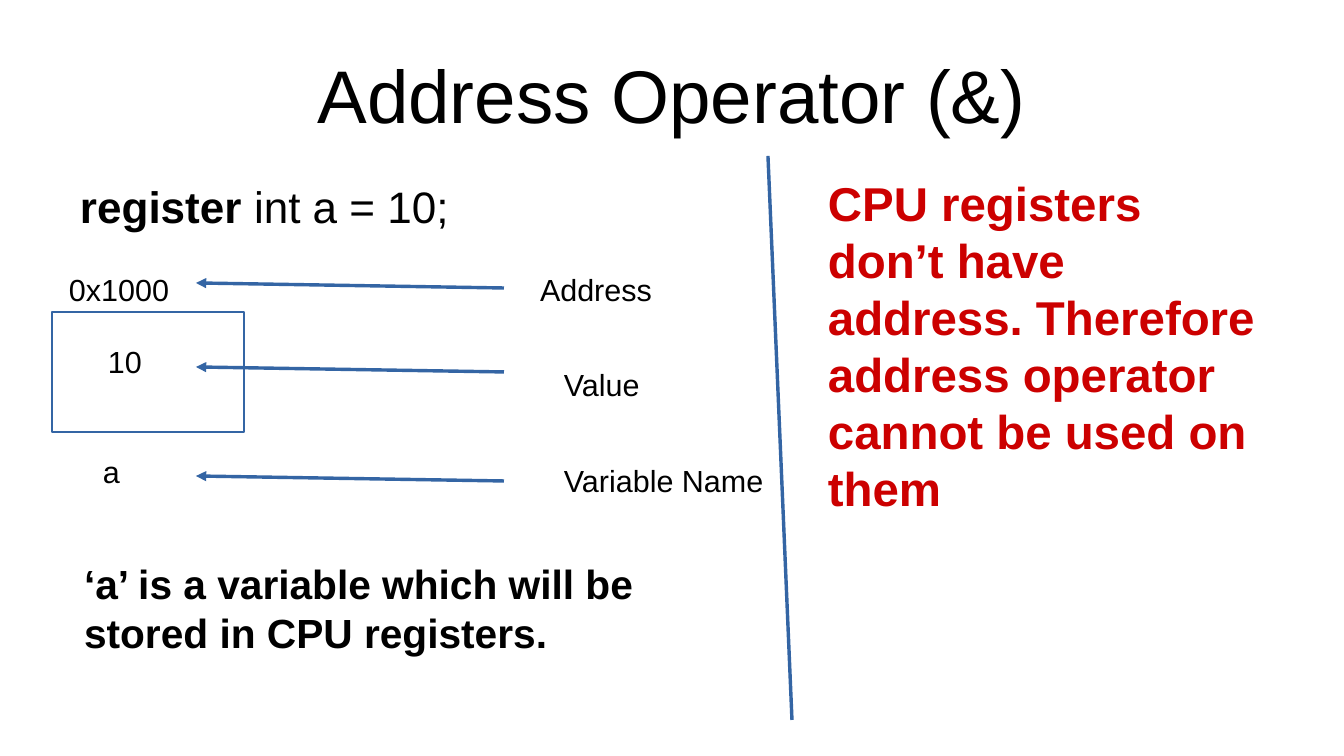
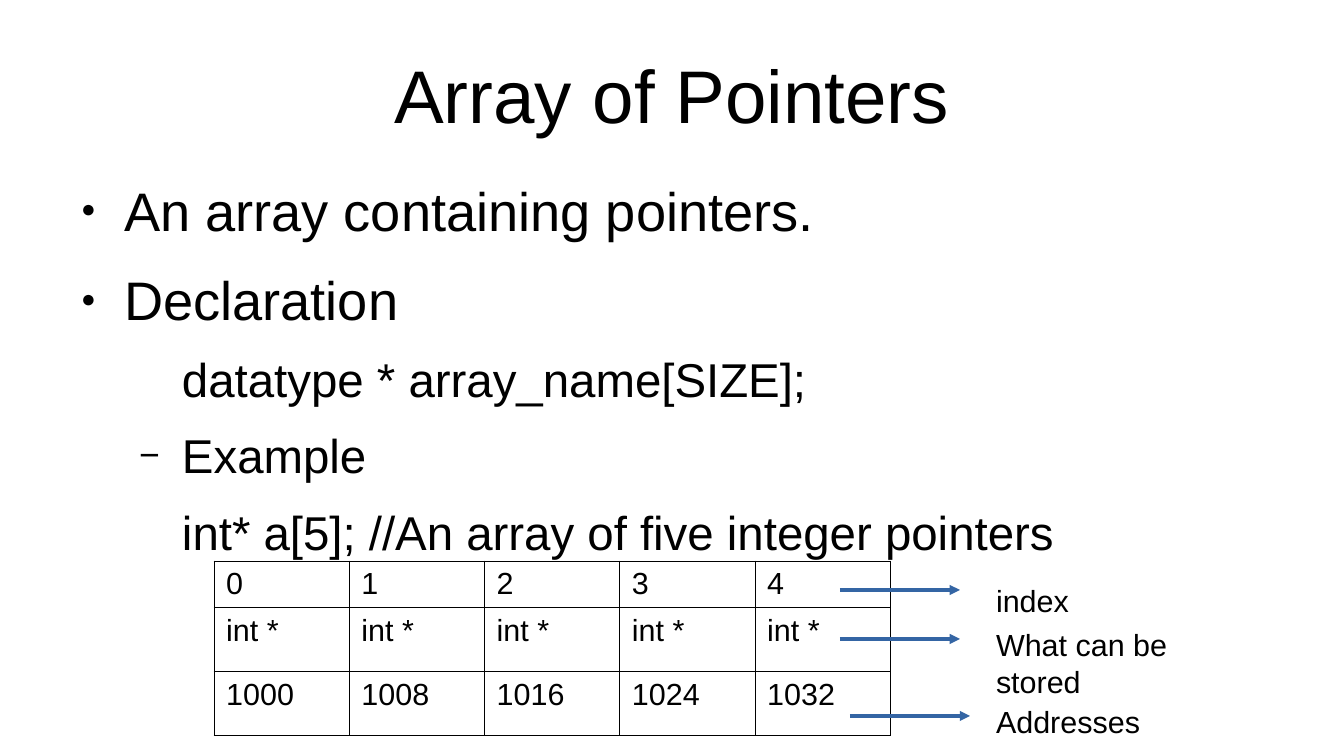
"""Build two lecture slides on the address operator and arrays of pointers."""
from lxml.etree import SubElement
from pptx import Presentation
from pptx.dml.color import RGBColor
from pptx.enum.shapes import MSO_CONNECTOR, MSO_SHAPE
from pptx.enum.text import MSO_ANCHOR, MSO_AUTO_SIZE, PP_ALIGN
from pptx.oxml import parse_xml
from pptx.oxml.ns import nsdecls, qn
from pptx.util import Pt

SCALE = 914400 / 122
COLORS = {"text": "000000", "line": "3465A4", "alert": "CC0000", "border": "000000"}
FONT = "Arial"
TITLE_ONLY, TITLE_AND_BODY = 5, 1


def px(length):
    return round(length * SCALE)


def rgb(name):
    return RGBColor.from_string(COLORS[name])


def write(para, text, size=18, bold=False, color="text"):
    span = para.add_run()
    span.text = text
    span.font.name = FONT
    span.font.size = Pt(size)
    span.font.bold = bold
    span.font.color.rgb = rgb(color)


class SlideBuilder:
    def __init__(self, deck):
        self.deck = deck
        self.page = None

    def start(self, title, layout):
        self.page = self.deck.slides.add_slide(self.deck.slide_layouts[layout])
        frame = self.place(self.page.shapes.title, 67, 30, 1210, 127)
        frame.vertical_anchor = MSO_ANCHOR.MIDDLE
        para = frame.paragraphs[0]
        para.alignment = PP_ALIGN.CENTER
        write(para, title, size=44)

    def place(self, holder, left, top, width, height):
        holder.left, holder.top = px(left), px(top)
        holder.width, holder.height = px(width), px(height)
        frame = holder.text_frame
        frame.margin_left = frame.margin_right = 0
        frame.margin_top = frame.margin_bottom = 0
        frame.auto_size = MSO_AUTO_SIZE.NONE
        frame.word_wrap = True
        return frame

    def body(self, items, left, top, width, height):
        frame = self.place(self.page.placeholders[1], left, top, width, height)
        frame.vertical_anchor = MSO_ANCHOR.TOP
        for number, (text, level, bullet) in enumerate(items):
            para = frame.add_paragraph() if number else frame.paragraphs[0]
            para.level = level
            para.space_before = Pt((14.2, 11.3)[level])
            write(para, text, size=(32, 28)[level])
            self.bullet(para, level, bullet)

    def bullet(self, para, level, character):
        settings = para._p.get_or_add_pPr()
        settings.set("marL", str(px((57, 115)[level])))
        settings.set("indent", str(px(-43) if character else 0))
        if not character:
            SubElement(settings, qn("a:buNone"))
            return
        color = SubElement(settings, qn("a:buClr"))
        SubElement(color, qn("a:srgbClr"), val=COLORS["text"])
        SubElement(settings, qn("a:buSzPct"), val=("45000", "75000")[level])
        SubElement(settings, qn("a:buFont"), typeface=FONT)
        SubElement(settings, qn("a:buChar"), char=character)

    def text(self, left, top, width, height, *spans, **style):
        box = self.page.shapes.add_textbox(px(left), px(top), px(width), px(height))
        box.text_frame.word_wrap = True
        for text, bold in spans:
            write(box.text_frame.paragraphs[0], text, bold=bold, **style)

    def label(self, text, left, top, width, height=46):
        self.text(left, top, width, height, (text, False))

    def frame(self, left, top, width, height):
        box = self.page.shapes.add_shape(
            MSO_SHAPE.RECTANGLE, px(left), px(top), px(width), px(height))
        box.shadow.inherit = False
        box.fill.background()
        box.line.color.rgb = rgb("line")
        box.line.width = Pt(0)

    def line(self, start, end, arrow=False):
        line = self.page.shapes.add_connector(
            MSO_CONNECTOR.STRAIGHT, *map(px, start), *map(px, end))
        line.line.color.rgb = rgb("line")
        line.line.width = Pt(0)
        if arrow:
            SubElement(line.line._get_or_add_ln(), qn("a:tailEnd"), type="triangle")
        SubElement(line._element.spPr, qn("a:effectLst"))

    def table(self, rows, left, top, column_width, row_heights):
        columns = len(rows[0])
        table = self.page.shapes.add_table(
            len(rows), columns, px(left), px(top),
            px(column_width * columns), px(sum(row_heights))).table
        table.first_row = table.horz_banding = False
        for column in table.columns:
            column.width = px(column_width)
        for row, height, values in zip(table.rows, row_heights, rows):
            row.height = px(height)
            for cell, value in zip(row.cells, values):
                cell.fill.background()
                write(cell.text_frame.paragraphs[0], value)
                self.borders(cell)

    def borders(self, cell):
        settings = cell._tc.get_or_add_tcPr()
        for position, side in enumerate("LRTB"):
            settings.insert(position, parse_xml(
                f'<a:ln{side} {nsdecls("a")} w="{Pt(0.57)}"><a:solidFill>'
                f'<a:srgbClr val="{COLORS["border"]}"/></a:solidFill></a:ln{side}>'))


def address_operator(builder):
    builder.start("Address Operator (&)", TITLE_ONLY)
    builder.frame(52, 312, 192, 120)
    builder.label("10", 96, 337, 120)
    builder.label("0x1000", 57, 265, 168)
    builder.label("a", 91, 447, 144)
    for text, left, top, width, arrow in (
            ("Address", 528, 265, 480, 288),
            ("Value", 552, 360, 288, 372),
            ("Variable Name", 552, 456, 312, 481)):
        builder.line((504, arrow), (196, arrow - 5), arrow=True)
        builder.label(text, left, top, width)
    builder.text(68, 173, 483, 111, ("register", True), (" int a = 10;", False), size=26)
    builder.line((768, 156), (792, 720))
    builder.text(
        816, 168, 456, 329,
        ("CPU registers don’t have address. Therefore address operator "
         "cannot be used on them", True), size=28, color="alert")
    builder.text(
        72, 553, 697, 148,
        ("‘a’ is a variable which will be stored in CPU registers.", True), size=24)


def array_of_pointers(builder):
    builder.start("Array of Pointers", TITLE_AND_BODY)
    builder.body((
        ("An array containing pointers.", 0, "●"),
        ("Declaration", 0, "●"),
        ("datatype * array_name[SIZE];", 1, None),
        ("Example", 1, "−"),
        ("int* a[5]; //An array of five integer pointers", 1, None),
    ), 67, 177, 1210, 439)
    indexes = range(5)
    builder.table((
        [str(index) for index in indexes],
        ["int *" for index in indexes],
        [str(1000 + 8 * index) for index in indexes],
    ), 214, 561, 135.3, (46, 64, 64))
    for text, top, width, height, arrow_left, arrow_top in (
            ("index", 576, 192, 46, 840, 590),
            ("What can be stored", 620, 265, 80, 840, 639),
            ("Addresses", 697, 192, 46, 850, 716)):
        builder.line((arrow_left, arrow_top), (arrow_left + 120, arrow_top), arrow=True)
        builder.label(text, 984, top, width, height)


def main():
    deck = Presentation()
    deck.slide_width, deck.slide_height = px(1344), px(756)
    builder = SlideBuilder(deck)
    address_operator(builder)
    array_of_pointers(builder)
    deck.save("out.pptx")


main()
